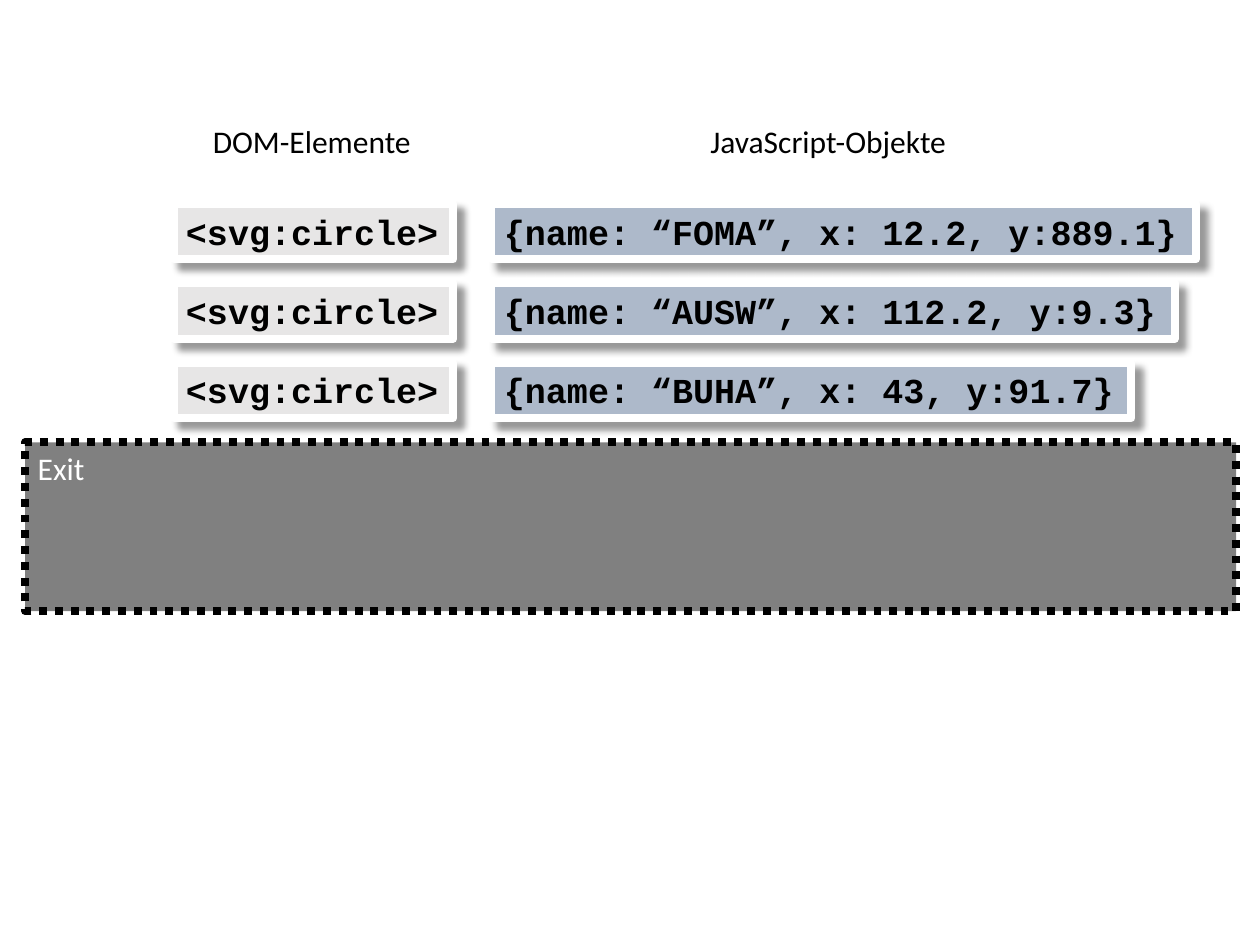
"""Builds the slide that pairs DOM elements with JavaScript objects above the exit area."""
from lxml import etree
from pptx import Presentation
from pptx import util as u
from pptx.dml.color import RGBColor
from pptx.enum import dml, shapes, text
from pptx.oxml import ns

COLORS = {
    "black": "000000",
    "white": "FFFFFF",
    "exit": "808080",
    "element": "E7E6E6",
    "object": "ADB9CA",
}


def write(box, words, size=18, font="Calibri", color="black", bold=False, wrap=False):
    frame = box.text_frame
    frame.word_wrap = wrap
    frame.auto_size = text.MSO_AUTO_SIZE.NONE if wrap else text.MSO_AUTO_SIZE.SHAPE_TO_FIT_TEXT
    frame.vertical_anchor = text.MSO_ANCHOR.TOP
    para = frame.paragraphs[0]
    para.alignment = text.PP_ALIGN.LEFT
    span = para.add_run()
    span.text = words
    span.font.size = u.Pt(size)
    span.font.name = font
    span.font.bold = bold
    span.font.color.rgb = RGBColor.from_string(COLORS[color])


def add_box(page, left, top, width, height, fill, line):
    box = page.shapes.add_shape(
        shapes.MSO_SHAPE.RECTANGLE, u.Cm(left), u.Cm(top), u.Cm(width), u.Cm(height)
    )
    box.shadow.inherit = False
    box.fill.solid()
    box.fill.fore_color.rgb = RGBColor.from_string(COLORS[fill])
    box.line.color.rgb = RGBColor.from_string(COLORS[line])
    box.line.width = u.Pt(4.5)
    return box


deck = Presentation()
deck.slide_width = u.Cm(25.4)
deck.slide_height = u.Cm(19.05)
page = deck.slides.add_slide(deck.slide_layouts[6])

exit_area = add_box(page, 0.51, 8.92, 24.41, 3.4, "exit", "black")
exit_area.line.dash_style = dml.MSO_LINE.ROUND_DOT
write(exit_area, "Exit", color="white", wrap=True)

element = "<svg:circle>"
columns = [
    (3.5, "element", [(element, 5.64)] * 3),
    (9.91, "object", [
        ("{name: “FOMA”, x: 12.2, y:889.1}", 14.2),
        ("{name: “AUSW”, x: 112.2, y:9.3}", 13.77),
        ("{name: “BUHA”, x: 43, y:91.7}", 12.9),
    ]),
]
for left, fill, entries in columns:
    for row, (words, width) in enumerate(entries):
        box = add_box(page, left, 4.11 + 1.6 * row, width, 1.12, fill, "white")
        effects = box._element.spPr.find(ns.qn("a:effectLst"))
        shadow = etree.SubElement(
            effects, ns.qn("a:outerShdw"), blurRad=str(u.Pt(4)), dist=str(u.Pt(6)),
            dir=str(45 * 60000), algn="tl", rotWithShape="0",
        )
        shade = etree.SubElement(shadow, ns.qn("a:srgbClr"), val=COLORS["black"])
        etree.SubElement(shade, ns.qn("a:alpha"), val="40000")
        write(box, words, size=20, font="Courier New", bold=True)

for words, left, width in [("DOM-Elemente", 4.04, 4.55), ("JavaScript-Objekte", 14.07, 5.31)]:
    heading = page.shapes.add_textbox(u.Cm(left), u.Cm(2.34), u.Cm(width), u.Cm(1.02))
    write(heading, words)

deck.save("out.pptx")
